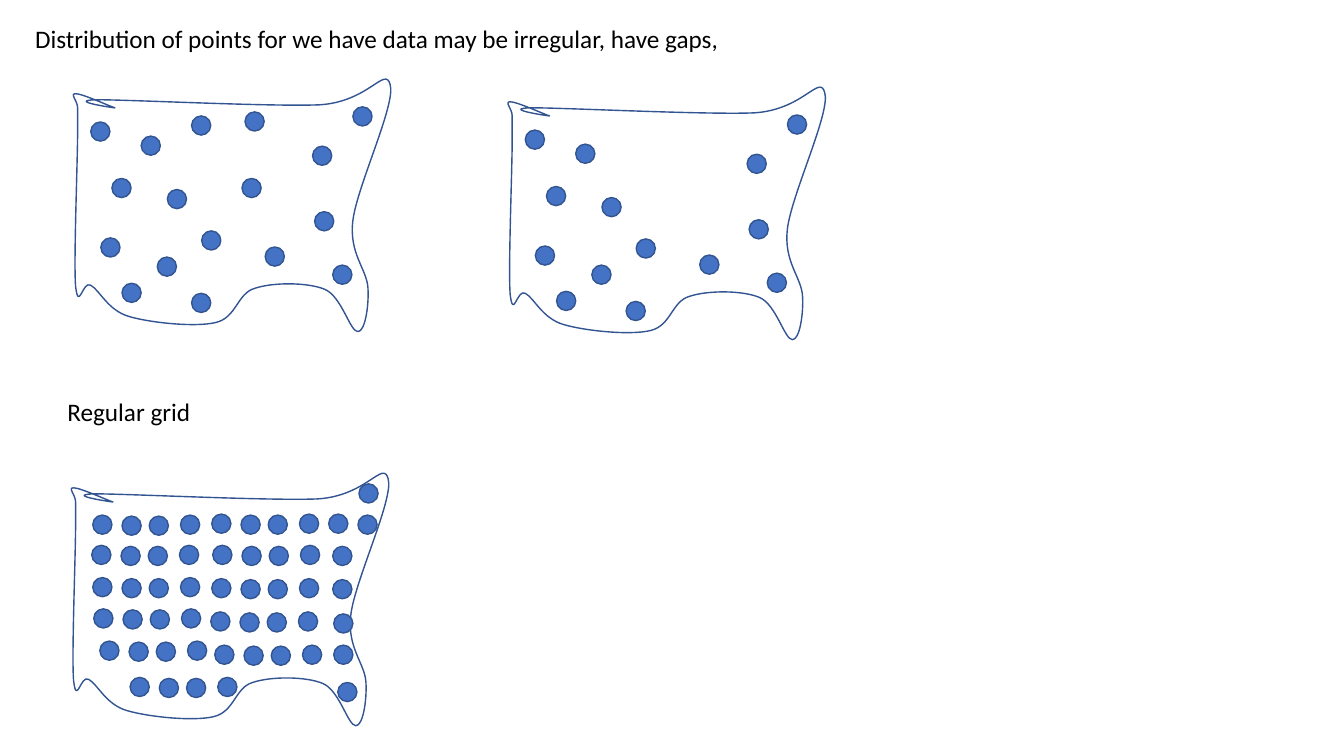
"""Build a slide that compares irregular and regular distributions of data points."""
from dataclasses import dataclass

from lxml import etree
from pptx import Presentation
from pptx.dml.color import RGBColor
from pptx.enum.shapes import MSO_SHAPE
from pptx.enum.text import MSO_AUTO_SIZE
from pptx.oxml.ns import qn
from pptx.shapes.autoshape import Shape
from pptx.shapes.group import GroupShape
from pptx.slide import Slide
from pptx.util import Inches, Pt

Point = tuple[float, float]

ELLIPSE = MSO_SHAPE.OVAL
GROW = MSO_AUTO_SIZE.SHAPE_TO_FIT_TEXT
BLUE = RGBColor(0x44, 0x72, 0xC4)
DARK_BLUE = RGBColor(0x32, 0x54, 0x91)
BLACK = RGBColor(0, 0, 0)
FONT = "Calibri"
DOT_SIZE = 0.19

OUTLINE_LEFT, OUTLINE_TOP = 0.73, 0.79
OUTLINE_WIDTH, OUTLINE_HEIGHT = 3.15, 2.5
OUTLINE_START: Point = (0.96, 0.99)
OUTLINE_CURVES: list[list[Point]] = [
    [(1.3, 0.99), (2.69, 1.06), (3.17, 1.04)],
    [(3.66, 1.01), (3.82, 0.65), (3.87, 0.84)],
    [(3.93, 1.03), (3.54, 1.85), (3.5, 2.19)],
    [(3.46, 2.52), (3.64, 2.67), (3.65, 2.86)],
    [(3.66, 3.04), (3.62, 3.29), (3.55, 3.29)],
    [(3.47, 3.29), (3.39, 2.94), (3.22, 2.87)],
    [(3.05, 2.8), (2.71, 2.8), (2.53, 2.86)],
    [(2.35, 2.91), (2.35, 3.15), (2.14, 3.2)],
    [(1.93, 3.25), (1.48, 3.2), (1.28, 3.14)],
    [(1.07, 3.08), (0.99, 2.88), (0.9, 2.83)],
    [(0.82, 2.78), (0.78, 3.1), (0.75, 2.84)],
    [(0.73, 2.59), (0.77, 1.6), (0.77, 1.31)],
    [(0.77, 1.01), (0.77, 1.13), (0.77, 1.07)],
    [(0.77, 1), (0.69, 0.93), (0.75, 0.93)],
    [(0.82, 0.93), (1.1, 1.06), (1.14, 1.07)],
    [(1.19, 1.08), (0.63, 1), (0.96, 0.99)],
]

GAPPY_DOTS: list[Point] = [
    (1.4, 1.35), (1.11, 1.77), (1.56, 2.55), (1.9, 2.91), (2.63, 2.45),
    (0.9, 1.21), (3.3, 2.63), (3.5, 1.06), (3.12, 2.1), (1.21, 2.81),
    (1, 2.36), (2, 2.29), (3.1, 1.45), (1.66, 1.88),
]
GAP_FILLING_DOTS: list[Point] = [(2.4, 1.77), (2.43, 1.11), (1.9, 1.15)]

ROW_OF_FOUR: list[Point] = [(0, 0), (0.29, 0.01), (0.56, 0.01), (0.87, 0)]
ROW_STARTS: list[Point] = [
    (0.92, 5.11), (0.91, 5.41), (0.92, 5.73), (0.93, 6.04), (0.99, 6.36), (1.29, 6.72),
    (2.1, 5.1), (2.11, 5.41), (2.1, 5.74), (2.09, 6.07), (2.13, 6.4),
]
EDGE_DOTS: list[Point] = [
    (3.56, 4.8), (3.26, 5.1), (3.55, 5.11), (3.3, 5.42),
    (3.3, 5.75), (3.31, 6.09), (3.31, 6.4), (3.35, 6.77),
]


@dataclass(frozen=True)
class Region:
    dx: float
    dy: float
    dots: list[Point]


@dataclass(frozen=True)
class Label:
    text: str
    left: float
    top: float
    width: float


def shifted(points: list[Point], dx: float, dy: float) -> list[Point]:
    return [(x + dx, y + dy) for x, y in points]


def style_line(sp: Shape) -> None:
    sp.shadow.inherit = False
    sp.line.color.rgb = DARK_BLUE
    sp.line.width = Pt(1)


def add_path_step(path: etree.ElementBase, tag: str, points: list[Point]) -> None:
    step = etree.SubElement(path, qn(tag))
    for x, y in shifted(points, -OUTLINE_LEFT, -OUTLINE_TOP):
        etree.SubElement(step, qn("a:pt"), x=str(Inches(x)), y=str(Inches(y)))


def draw_outline(group: GroupShape, dx: float, dy: float) -> None:
    left, top = Inches(OUTLINE_LEFT + dx), Inches(OUTLINE_TOP + dy)
    right, bottom = left + Inches(OUTLINE_WIDTH), top + Inches(OUTLINE_HEIGHT)
    builder = group.shapes.build_freeform(left, top)
    builder.add_line_segments([(right, top), (right, bottom), (left, bottom)])
    sp = builder.convert_to_shape()
    sp.fill.background()
    style_line(sp)
    path = sp._element.find(".//" + qn("a:path"))
    for step in list(path):
        path.remove(step)
    add_path_step(path, "a:moveTo", [OUTLINE_START])
    for curve in OUTLINE_CURVES:
        add_path_step(path, "a:cubicBezTo", curve)
    add_path_step(path, "a:close", [])


def draw_region(s: Slide, region: Region) -> None:
    group = s.shapes.add_group_shape()
    draw_outline(group, region.dx, region.dy)
    for x, y in region.dots:
        dot = group.shapes.add_shape(
            ELLIPSE, Inches(x), Inches(y), Inches(DOT_SIZE), Inches(DOT_SIZE))
        dot.fill.solid()
        dot.fill.fore_color.rgb = BLUE
        style_line(dot)


def draw_label(s: Slide, label: Label) -> None:
    sp = s.shapes.add_textbox(
        Inches(label.left), Inches(label.top), Inches(label.width), Inches(0.4))
    tf = sp.text_frame
    tf.word_wrap = True
    tf.auto_size = GROW
    r = tf.paragraphs[0].add_run()
    r.text = label.text
    r.font.name = FONT
    r.font.size = Pt(18)
    r.font.color.rgb = BLACK


def main() -> None:
    prs = Presentation()
    prs.slide_width = Inches(13.33)
    prs.slide_height = Inches(7.5)
    s = prs.slides.add_slide(prs.slide_layouts[6])

    grid_dots = [dot for x, y in ROW_STARTS for dot in shifted(ROW_OF_FOUR, x, y)]
    regions = [
        Region(0, 0, GAPPY_DOTS + GAP_FILLING_DOTS),
        Region(4.31, 0.08, shifted(GAPPY_DOTS, 4.31, 0.08)),
        Region(-0.02, 3.91, grid_dots + EDGE_DOTS),
    ]
    labels = [
        Label("Distribution of points for we have data may be irregular, have gaps,",
              0.25, 0.18, 12.72),
        Label("Regular grid", 0.57, 3.88, 12.19),
    ]
    for region in regions:
        draw_region(s, region)
    for label in labels:
        draw_label(s, label)
    prs.save("out.pptx")


if __name__ == "__main__":
    main()
